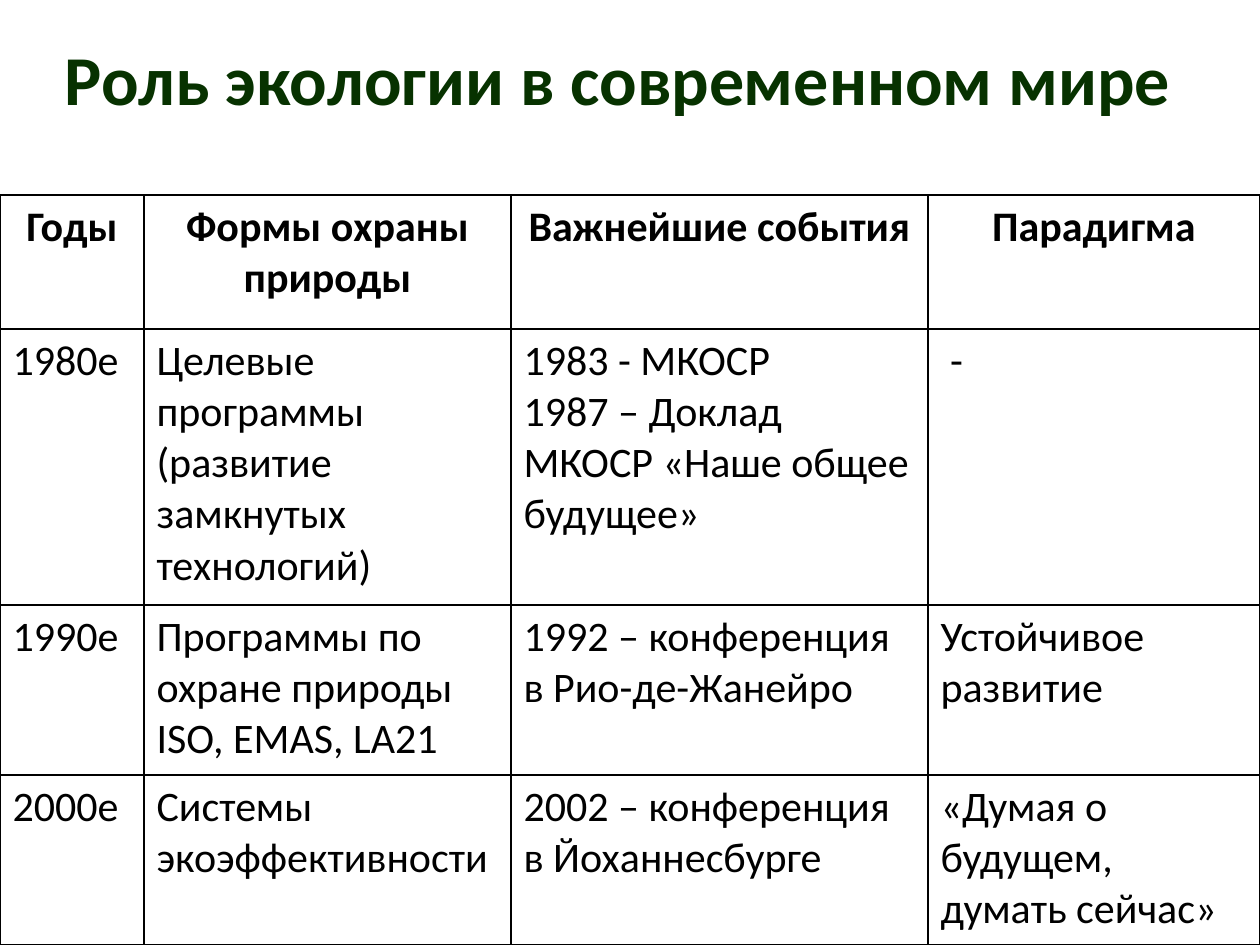
from pptx import Presentation
from pptx.dml.color import RGBColor
from pptx.enum.text import MSO_ANCHOR, PP_ALIGN
from pptx.oxml import parse_xml
from pptx.oxml.ns import nsdecls
from pptx.util import Pt

PX = 914400 // 126
CENTER, LEFT = PP_ALIGN.CENTER, PP_ALIGN.LEFT
BOTTOM = MSO_ANCHOR.BOTTOM
FONT = "Calibri"
GREEN = RGBColor(0x07, 0x32, 0x00)
BLACK = RGBColor(0x00, 0x00, 0x00)

TITLE = "Роль экологии в современном мире"
ROWS = [
    ["Годы", "Формы охраны природы", "Важнейшие события", "Парадигма"],
    ["1980е", "Целевые программы (развитие замкнутых технологий)",
     "1983 - МКОСР\n1987 – Доклад МКОСР «Наше общее будущее»", " -"],
    ["1990е", "Программы по охране природы\nISO, EMAS, LA21",
     "1992 – конференция в Рио-де-Жанейро", "Устойчивое развитие"],
    ["2000е", "Системы экоэффективности", "2002 – конференция в Йоханнесбурге",
     "«Думая о\nбудущем,\nдумать сейчас»"],
]
COLUMN_WIDTHS = [144, 367, 417, 332]
ROW_HEIGHTS = [134, 276, 170, 170]
TABLE_TOP = 195


def style_paragraphs(frame, size, color, bold, align):
    for para in frame.paragraphs:
        para.alignment = align
        para.font.name = FONT
        para.font.size = Pt(size)
        para.font.bold = bold
        para.font.color.rgb = color


def add_borders(cell):
    properties = cell._tc.get_or_add_tcPr()
    for index, side in enumerate(("lnL", "lnR", "lnT", "lnB")):
        line = parse_xml(
            f'<a:{side} {nsdecls("a")} w="{Pt(1)}"><a:solidFill>'
            f'<a:srgbClr val="{BLACK}"/></a:solidFill></a:{side}>')
        properties.insert(index, line)


def add_title(page):
    title = page.shapes.title
    title.left, title.top = 0, 65 * PX
    title.width, title.height = 1235 * PX, 110 * PX
    frame = title.text_frame
    frame.text = TITLE
    frame.word_wrap = True
    frame.vertical_anchor = BOTTOM
    frame.margin_bottom = 55 * PX
    style_paragraphs(frame, 40, GREEN, True, CENTER)


def add_history_table(page):
    table = page.shapes.add_table(
        len(ROWS), len(COLUMN_WIDTHS), 0, TABLE_TOP * PX,
        sum(COLUMN_WIDTHS) * PX, sum(ROW_HEIGHTS) * PX).table
    for column, width in zip(table.columns, COLUMN_WIDTHS):
        column.width = width * PX
    for row, height in zip(table.rows, ROW_HEIGHTS):
        row.height = height * PX
    for row_index, texts in enumerate(ROWS):
        is_header = row_index == 0
        for column_index, text in enumerate(texts):
            cell = table.cell(row_index, column_index)
            cell.text = text
            cell.fill.background()
            add_borders(cell)
            style_paragraphs(cell.text_frame, 24, BLACK, is_header,
                             CENTER if is_header else LEFT)


def main():
    deck = Presentation()
    deck.slide_width, deck.slide_height = 1260 * PX, 945 * PX
    page = deck.slides.add_slide(deck.slide_layouts[5])
    add_title(page)
    add_history_table(page)
    deck.save("out.pptx")


if __name__ == "__main__":
    main()
